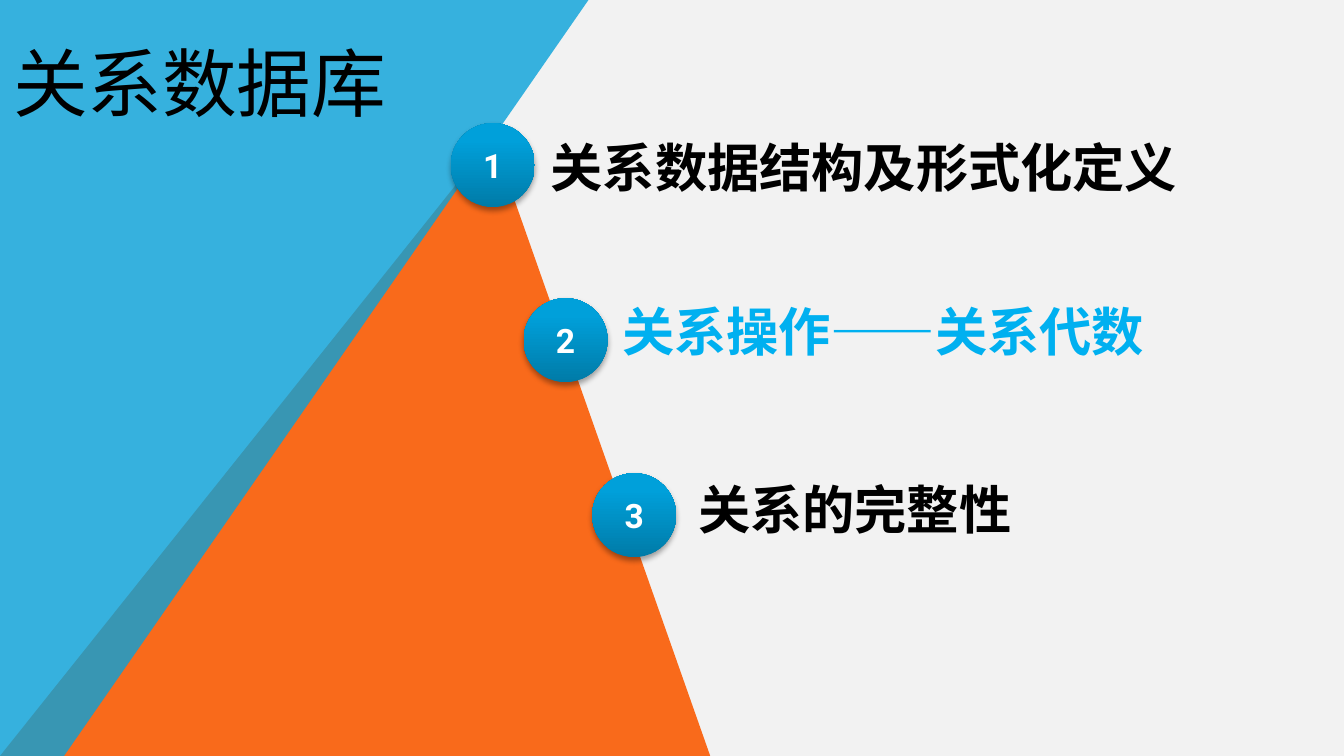
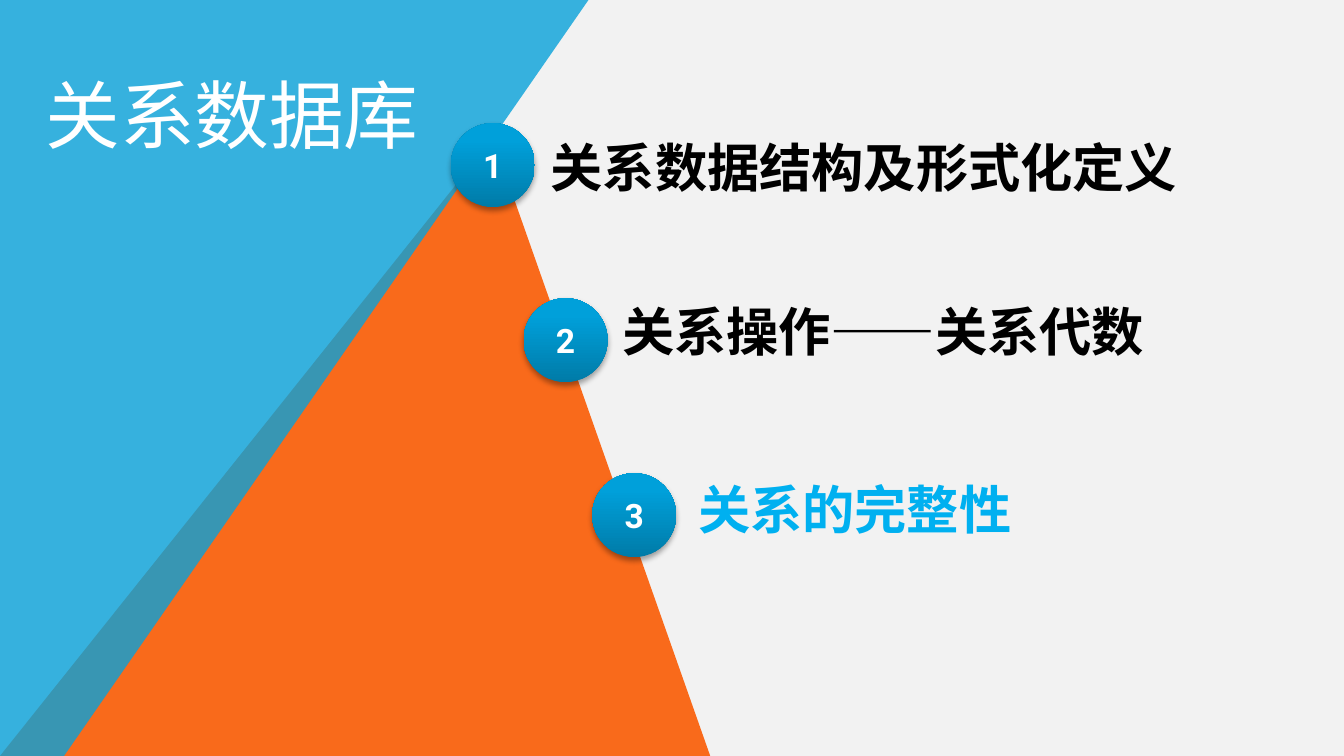
"""Builds two agenda slides on relational databases, each marking its current topic."""
from copy import deepcopy
from typing import NamedTuple

from lxml import etree
from pptx import Presentation
from pptx.dml.color import RGBColor
from pptx.enum.shapes import MSO_SHAPE
from pptx.enum.text import MSO_ANCHOR, PP_ALIGN
from pptx.oxml.ns import qn
from pptx.util import Emu, Pt

OVAL = MSO_SHAPE.OVAL
TOP, MIDDLE = MSO_ANCHOR.TOP, MSO_ANCHOR.MIDDLE
LEFT, CENTER = PP_ALIGN.LEFT, PP_ALIGN.CENTER

PX = 9525
COLORS = {
    "background": "F2F2F2",
    "orange": "F96A1B",
    "blue": "08A1D9",
    "text": "000000",
    "white": "FFFFFF",
    "current": "00B0F0",
    "badge_dark": "007BA8",
    "badge_mid": "00A0DA",
    "badge_light": "00A0DB",
}
BADGE_STOPS = ((0, "badge_dark"), (0.8, "badge_mid"), (1, "badge_light"))
BADGE_SIZE, BADGE_TOP, BADGE_STEP = 60, 88, 125
TITLE = "关系数据库"
TITLE_SIZE = (329, 89)


class Style(NamedTuple):
    """Font and placement of a text."""
    font: str
    size: int
    bold: bool = True
    align: PP_ALIGN = LEFT
    anchor: MSO_ANCHOR = TOP
    spacing: float = 1.0
    wrap: bool = True


class Topic(NamedTuple):
    """One agenda entry with its numbered badge."""
    text: str
    box: tuple[int, int, int, int]
    badge_left: int
    style: Style


class Agenda(NamedTuple):
    """What differs between the slides."""
    title_at: tuple[int, int]
    title_color: str
    current: int


class Panel(NamedTuple):
    """A coloured background outline."""
    points: tuple[tuple[int, int], ...]
    color: str
    opacity: int


TITLE_STYLE = Style("Noto Sans CJK JP", 40, bold=False, anchor=MIDDLE)
TOPIC_STYLE = Style("Noto Sans CJK SC", 28)
BADGE_STYLE = Style("Roboto", 18, align=CENTER, anchor=MIDDLE)

PANELS = (
    Panel(((0, 540), (352, 99), (508, 542)), "orange", 100),
    Panel(((-1, 543), (0, -1), (421, -1), (45, 541)), "blue", 80),
)
TOPICS = (
    Topic("关系数据结构及形式化定义", (384, 74, 507, 84), 322,
          TOPIC_STYLE._replace(spacing=1.4)),
    Topic("关系操作——关系代数", (435, 209, 431, 68), 374, TOPIC_STYLE),
    Topic("关系的完整性", (487, 336, 247, 55), 423,
          TOPIC_STYLE._replace(align=CENTER, wrap=False)),
)
AGENDAS = (
    Agenda((0, 14), "text", 2),
    Agenda((23, 37), "white", 3),
)


def rgb(name: str) -> RGBColor:
    """Look up a named colour."""
    return RGBColor.from_string(COLORS[name])


def px(*lengths: int) -> list[Emu]:
    """Scale px lengths to EMU."""
    return [Emu(length * PX) for length in lengths]


def write(sp, text: str, style: Style, color: str) -> None:
    """Fill a shape with one styled paragraph."""
    tf = sp.text_frame
    tf.word_wrap = style.wrap
    tf.vertical_anchor = style.anchor
    p = tf.paragraphs[0]
    p.add_run().text = text
    p.alignment = style.align
    p.line_spacing = style.spacing
    p.font.size = Pt(style.size)
    p.font.bold = style.bold
    p.font.color.rgb = rgb(color)
    p.font.name = style.font
    props = p._p.pPr.find(qn("a:defRPr"))
    etree.SubElement(props, qn("a:ea"), typeface=style.font)


def add_text(s, text: str, box: tuple[int, int, int, int], style: Style, color: str) -> None:
    """Add a text box."""
    write(s.shapes.add_textbox(*px(*box)), text, style, color)


def add_panel(s, panel: Panel) -> None:
    """Add a filled polygon."""
    start, *rest = panel.points
    builder = s.shapes.build_freeform(*start, scale=PX)
    builder.add_line_segments(rest, close=True)
    sp = builder.convert_to_shape()
    sp.shadow.inherit = False
    sp.line.fill.background()
    sp.fill.solid()
    sp.fill.fore_color.rgb = rgb(panel.color)
    if panel.opacity < 100:
        color = sp._element.spPr.find(qn("a:solidFill"))[0]
        etree.SubElement(color, qn("a:alpha"), val=str(panel.opacity * 1000))


def add_shadow(sp) -> None:
    """Give a shape a soft shadow below it."""
    sp.shadow.inherit = False
    effects = sp._element.spPr.find(qn("a:effectLst"))
    shadow = etree.SubElement(
        effects, qn("a:outerShdw"), blurRad=str(Pt(3.1)), dist=str(Pt(1.8)),
        dir="5400000", algn="ctr", rotWithShape="0")
    color = etree.SubElement(shadow, qn("a:srgbClr"), val=COLORS["text"])
    etree.SubElement(color, qn("a:alpha"), val="35000")


def add_badge(s, number: int, left: int) -> None:
    """Add a numbered round badge."""
    top = BADGE_TOP + (number - 1) * BADGE_STEP
    sp = s.shapes.add_shape(OVAL, *px(left, top, BADGE_SIZE, BADGE_SIZE))
    sp.line.fill.background()
    sp.fill.gradient()
    sp.fill.gradient_angle = 90
    stops = sp._element.spPr.find(qn("a:gradFill")).find(qn("a:gsLst"))
    stops.append(deepcopy(stops[-1]))
    for stop, (position, color) in zip(sp.fill.gradient_stops, BADGE_STOPS):
        stop.position = position
        stop.color.rgb = rgb(color)
    add_shadow(sp)
    write(sp, str(number), BADGE_STYLE, "white")


def add_agenda(prs, agenda: Agenda) -> None:
    """Add one agenda slide."""
    s = prs.slides.add_slide(prs.slide_layouts[6])
    s.background.fill.solid()
    s.background.fill.fore_color.rgb = rgb("background")
    for panel in PANELS:
        add_panel(s, panel)
    add_text(s, TITLE, agenda.title_at + TITLE_SIZE, TITLE_STYLE, agenda.title_color)
    for number, topic in enumerate(TOPICS, 1):
        color = "current" if number == agenda.current else "text"
        add_text(s, topic.text, topic.box, topic.style, color)
        add_badge(s, number, topic.badge_left)


def main() -> None:
    """Build and save the slides."""
    prs = Presentation()
    prs.slide_width, prs.slide_height = px(960, 540)
    for agenda in AGENDAS:
        add_agenda(prs, agenda)
    prs.save("out.pptx")


if __name__ == "__main__":
    main()
